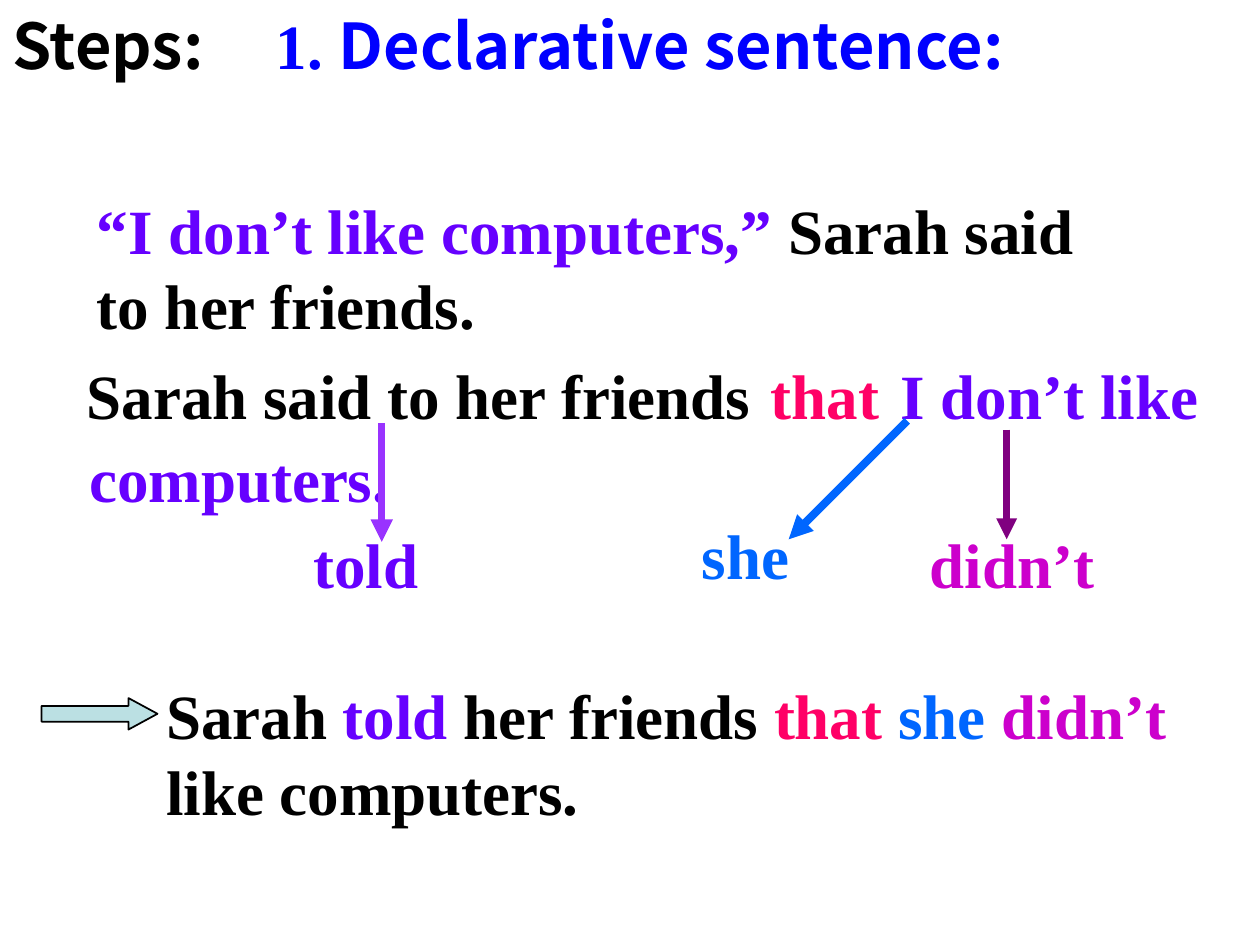
from pptx import Presentation
from pptx.dml.color import RGBColor
from pptx.enum.shapes import MSO_CONNECTOR, MSO_SHAPE
from pptx.enum.text import MSO_ANCHOR, MSO_AUTO_SIZE, PP_ALIGN
from pptx.oxml.ns import qn
from pptx.util import Inches, Pt
from lxml.etree import SubElement

CELL = Inches(0.1)
COLS, ROWS = 100, 75
LINE = 7
SERIF = "Times New Roman"
SANS = "Noto Sans CJK SC"
BLACK = RGBColor(0, 0, 0)
WHITE = RGBColor(255, 255, 255)
BLUE = RGBColor(0, 0, 255)
VIOLET = RGBColor(0x66, 0, 0xFF)
ROSE = RGBColor(0xFF, 0, 0x66)
AZURE = RGBColor(0, 0x66, 0xFF)
PINK = RGBColor(0xCC, 0, 0xCC)
PLUM = RGBColor(0x80, 0, 0x80)
LILAC = RGBColor(0x99, 0x33, 0xFF)
TEAL = RGBColor(0xBB, 0xE0, 0xE3)


def cells(*counts):
    """Turn counts of grid cells into lengths."""
    return [round(n * CELL) for n in counts]


def write(shape, runs, wrap=True):
    """Fill a shape with bold runs of (text, colour, font)."""
    frame = shape.text_frame
    frame.word_wrap = wrap
    frame.auto_size = MSO_AUTO_SIZE.NONE if wrap else MSO_AUTO_SIZE.SHAPE_TO_FIT_TEXT
    frame.vertical_anchor = MSO_ANCHOR.TOP
    para = frame.paragraphs[0]
    para.alignment = PP_ALIGN.LEFT
    for text, color, *face in runs:
        run = para.add_run()
        run.text = text
        run.font.name = face[0] if face else SERIF
        run.font.size = Pt(36)
        run.font.bold = True
        run.font.color.rgb = color


def label(slide, box, runs, wrap=True):
    """Add a text box that fills the given box."""
    write(slide.shapes.add_textbox(*cells(*box)), runs, wrap)


def arrow(slide, start, end, color, weight):
    """Draw a line with an arrowhead at its end."""
    line = slide.shapes.add_connector(MSO_CONNECTOR.STRAIGHT, *cells(*start, *end))
    line.line.color.rgb = color
    line.line.width = Pt(weight)
    SubElement(line.line._get_or_add_ln(), qn("a:tailEnd"), type="triangle")
    SubElement(line._element.spPr, qn("a:effectLst"))


def heading(slide, box):
    """Place the lead word and the slide title."""
    left, top, width, height = box
    label(slide, (left, top, 29.1, height), [("Steps:", BLACK, SANS)])
    title = slide.shapes.title
    spot = cells(left + 20.9, top, 62.2, height)
    title.left, title.top, title.width, title.height = spot
    write(title, [("1. ", BLUE), ("Declarative sentence:", BLUE, SANS)])


def quote(slide, box):
    """Place the direct speech."""
    label(slide, box, [("“I don’t like computers,” ", VIOLET),
                       ("Sarah said to her friends.", BLACK)])


def change(slide, box):
    """Place the joined sentence, the new words and their arrows."""
    left, top, width, height = box
    words = [
        ("Sarah said to her friends", BLACK, 0, 0, 54.8, False),
        ("that", ROSE, 54.3, 0, 11.8, True),
        ("I don’t like", VIOLET, 64.6, 0, 25.6, False),
        ("computers.", VIOLET, 0.2, 6.6, 25.8, False),
        ("told", VIOLET, 18, 13.4, 12.7, True),
        ("didn’t", PINK, 66.9, 13.4, 18.9, True),
        ("she", AZURE, 48.8, 12.7, 10.3, True),
    ]
    for text, color, col, row, wide, wrap in words:
        label(slide, (left + col, top + row, wide, LINE), [(text, color)], wrap)
    arrows = [
        (66.1, 5.6, 56.7, 15, AZURE, 4.5),
        (74, 6.3, 74, 15, PLUM, 4),
        (24.4, 5.8, 24.4, 15.2, LILAC, 4.25),
    ]
    for col, row, col2, row2, color, weight in arrows:
        arrow(slide, (left + col, top + row), (left + col2, top + row2), color, weight)


def result(slide, box):
    """Place the block arrow and the reported speech."""
    left, top, width, height = box
    mark = slide.shapes.add_shape(MSO_SHAPE.RIGHT_ARROW,
                                  *cells(left, top + 2.2, 9.2, 2.5))
    mark.adjustments[0], mark.adjustments[1] = 0.5, 0.92
    mark.shadow.inherit = False
    mark.fill.solid()
    mark.fill.fore_color.rgb = TEAL
    mark.line.color.rgb = BLACK
    mark.line.width = Pt(1)
    label(slide, (left + 8.9, top, width - 8.9, height), [
        ("Sarah ", BLACK), ("told", VIOLET), (" her friends ", BLACK),
        ("that ", ROSE), ("she ", AZURE), ("didn’t ", PINK),
        ("like computers.", BLACK)])


def main():
    """Build and save the slide."""
    deck = Presentation()
    deck.slide_width, deck.slide_height = cells(COLS, ROWS)
    slide = deck.slides.add_slide(deck.slide_layouts[5])
    slide.background.fill.solid()
    slide.background.fill.fore_color.rgb = WHITE
    heading(slide, (0, 0, 83.1, LINE))
    quote(slide, (6.7, 14.7, 84.1, 13))
    change(slide, (5.9, 27.8, 90.2, 20.4))
    result(slide, (3.3, 53.2, 92.1, 13))
    deck.save("out.pptx")


if __name__ == "__main__":
    main()
